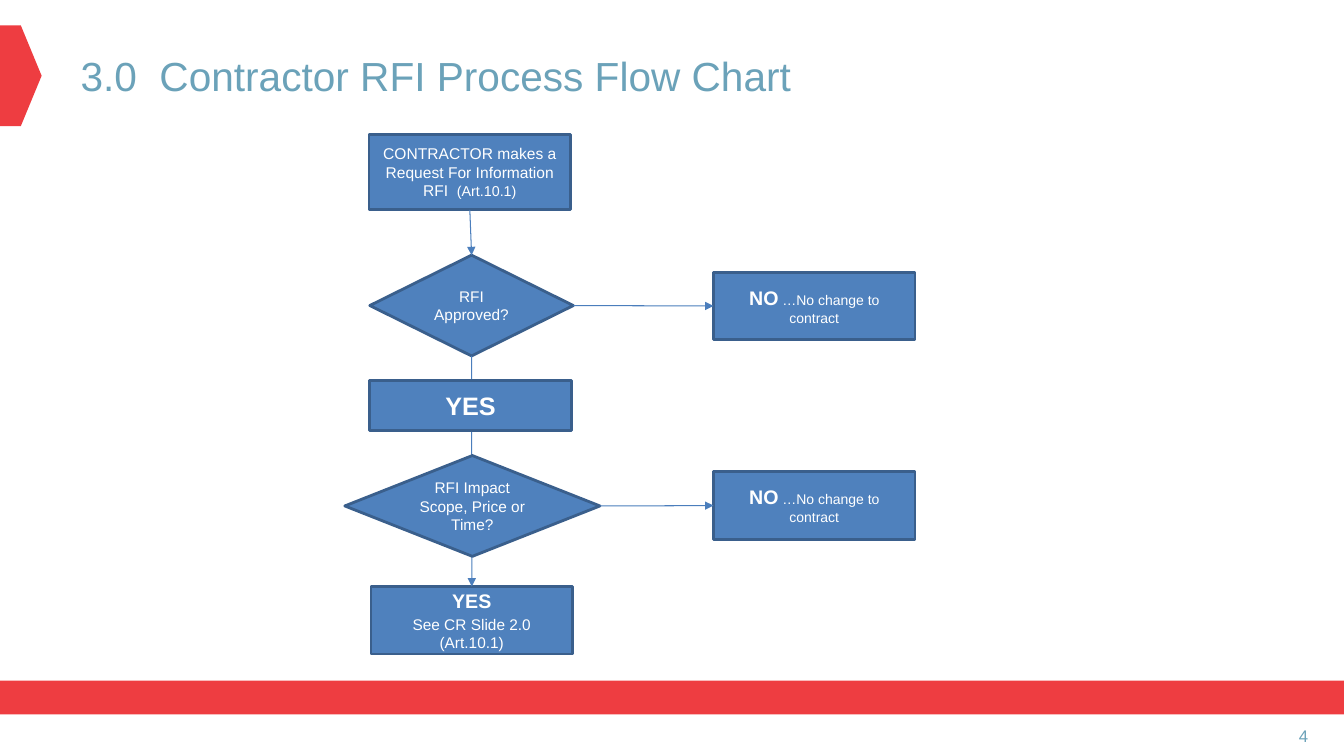
from lxml.etree import SubElement
from pptx import Presentation
from pptx.dml.color import RGBColor as Rgb
from pptx.enum.shapes import MSO_CONNECTOR as Link, MSO_SHAPE as Form
from pptx.enum.text import MSO_ANCHOR as Anchor, PP_ALIGN as Align
from pptx.oxml.ns import qn
from pptx.util import Cm, Pt

HUES = {
    "red": "EE3D41",
    "teal": "6BA2B9",
    "blue": "4F81BD",
    "edge": "3A5F8C",
    "line": "4B7EBC",
    "white": "FFFFFF",
}
TOP, LEFT, BASE, RIGHT = range(4)
WIDE, TALL = 33.87, 19.05
NO_TEXT = [[("NO", 14, True), (" …No change to contract", 10, False)]]


def hue(name):
    return Rgb.from_string(HUES[name])


def write(shape, paras, tint, align, pad):
    frame = shape.text_frame
    frame.word_wrap = True
    frame.vertical_anchor = Anchor.MIDDLE
    side, edge = pad
    frame.margin_left = frame.margin_right = Cm(side)
    frame.margin_top = frame.margin_bottom = Cm(edge)
    for i, runs in enumerate(paras):
        para = frame.add_paragraph() if i else frame.paragraphs[0]
        para.alignment = align
        if i:
            para.space_before = Pt(2)
        for text, size, bold in runs:
            run = para.add_run()
            run.text = text
            run.font.name = "Arial"
            run.font.size = Pt(size)
            run.font.bold = bold
            run.font.color.rgb = hue(tint)


def add_form(slide, form, box, fill):
    shape = slide.shapes.add_shape(form, *map(Cm, box))
    shape.shadow.inherit = False
    shape.fill.solid()
    shape.fill.fore_color.rgb = hue(fill)
    shape.line.fill.background()
    return shape


def add_step(slide, form, box, paras, pad=(0.25, 0.13)):
    shape = add_form(slide, form, box, "blue")
    shape.line.color.rgb = hue("edge")
    shape.line.width = Pt(2)
    write(shape, paras, "white", Align.CENTER, pad)
    return shape


def add_label(slide, box, text, size, align):
    label = slide.shapes.add_textbox(*map(Cm, box))
    write(label, [[(text, size, False)]], "teal", align, (0.33, 0.18))


def add_arrow(slide, start, out, end, into):
    arrow = slide.shapes.add_connector(Link.STRAIGHT, 0, 0, 0, 0)
    arrow.begin_connect(start, out)
    arrow.end_connect(end, into)
    arrow.line.color.rgb = hue("line")
    arrow.line.width = Pt(0.75)
    SubElement(arrow.line._get_or_add_ln(), qn("a:tailEnd"), type="triangle")
    SubElement(arrow._element.spPr, qn("a:effectLst"))


def add_flow(slide):
    rect, gem = Form.RECTANGLE, Form.FLOWCHART_DECISION
    start = add_step(slide, rect, (9.3, 3.38, 5.08, 1.91), [[
        ("CONTRACTOR makes a Request For Information RFI  ", 11.1, False),
        ("(Art.10.1)", 10.2, False),
    ]], (0.32, 0.18))
    check = add_step(slide, gem, (9.32, 6.43, 5.13, 2.54),
                     [[("RFI Approved?", 11, False)]])
    end = add_step(slide, rect, (9.35, 14.78, 5.08, 1.7), [
        [("YES", 14, True)],
        [("See CR Slide 2.0 (Art.10.1)", 11, False)],
    ])
    add_arrow(slide, start, BASE, check, TOP)
    add_arrow(slide, check, BASE, end, TOP)
    add_step(slide, rect, (9.32, 9.58, 5.08, 1.27), [[("YES", 18, True)]])
    scope = add_step(slide, gem, (8.69, 11.48, 6.43, 2.54),
                     [[("RFI Impact Scope, Price or Time?", 11, False)]])
    for test, top in ((check, 6.86), (scope, 11.89)):
        stop = add_step(slide, rect, (17.98, top, 5.08, 1.7), NO_TEXT)
        add_arrow(slide, test, RIGHT, stop, LEFT)


def main():
    deck = Presentation()
    deck.slide_width, deck.slide_height = Cm(WIDE), Cm(TALL)
    slide = deck.slides.add_slide(deck.slide_layouts[6])
    add_form(slide, Form.PENTAGON, (0, 0.64, 1.05, 2.54), "red")
    add_form(slide, Form.RECTANGLE, (0, 17.15, WIDE, 0.85), "red")
    add_label(slide, (1.7, 0.48, 26.52, 2.82),
              "3.0  Contractor RFI Process Flow Chart", 29, Align.LEFT)
    add_label(slide, (31.88, 18.03, 1.42, 1.02), "4", 12, Align.RIGHT)
    add_flow(slide)
    deck.save("out.pptx")


if __name__ == "__main__":
    main()
